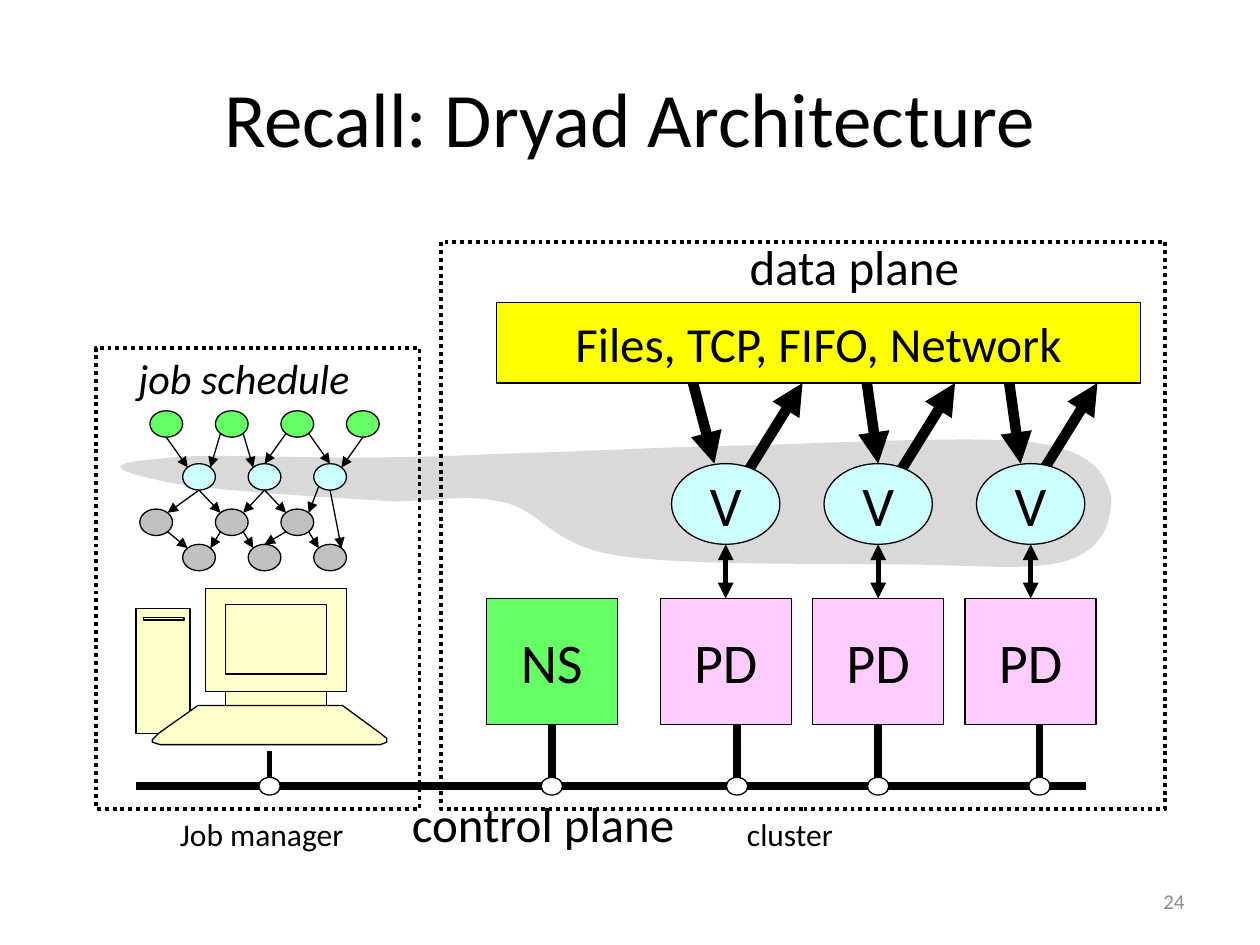
from lxml.etree import SubElement
from pptx import Presentation
from pptx.dml.color import RGBColor
from pptx.enum.dml import MSO_LINE
from pptx.enum.shapes import MSO_CONNECTOR, MSO_SHAPE
from pptx.enum.text import MSO_ANCHOR, PP_ALIGN
from pptx.oxml.ns import qn
from pptx.util import Inches, Pt

FONT = "Calibri"
BLACK, WHITE, GREY, MIST = "000000", "FFFFFF", "C0C0C0", "D9D9D9"
GREEN, CYAN, PINK, YELLOW, CREAM = "66FF66", "CCFFFF", "FFCCFF", "FFFF00", "FFFFCC"

VERTEX_X, VERTEX_STEP, VERTEX_W, VERTEX_H = 5.76, 1.21, 0.86, 0.64
VERTEX_TOP, STORE_BOTTOM = 3.68, 3.04
BOX_W, BOX_H, BOX_TOP = 1.04, 1, 4.75
BUS_Y = 6.24

# Job schedule: top, fill and node centres of each level
NODE_W, NODE_H = 0.26, 0.21
LEVELS = [
    (3.26, GREEN, [1.32, 1.84, 2.36, 2.88]),
    (3.68, CYAN, [1.58, 2.1, 2.62]),
    (4.04, GREY, [1.24, 1.84, 2.36]),
    (4.32, GREY, [1.58, 2.1, 2.62]),
]
# Each end is (level, node, side); side is -1 left, 0 middle, 1 right
EDGES = [
    ((0, 0, 0), (1, 0, -1)), ((0, 1, -1), (1, 0, 1)), ((0, 1, 1), (1, 1, -1)),
    ((0, 2, -1), (1, 1, 0)), ((0, 2, 1), (1, 2, 0)), ((0, 3, 0), (1, 2, 1)),
    ((1, 0, 0), (2, 0, 1)), ((1, 0, 0), (2, 1, -1)), ((1, 1, 0), (2, 1, 1)),
    ((1, 1, 0), (2, 2, -1)), ((1, 2, -1), (2, 2, 1)), ((1, 2, 0), (3, 2, 1)),
    ((2, 0, 1), (3, 0, -1)), ((2, 1, -1), (3, 0, 1)), ((2, 1, 1), (3, 1, -1)),
    ((2, 2, -1), (3, 1, 0)), ((2, 2, 1), (3, 2, -1)),
]

BAND_START = (1.25, 3.81)
BAND_CURVES = [
    ((0.66, 3.68), (1.09, 3.66), (1.37, 3.63)),
    ((1.65, 3.6), (2.49, 3.64), (2.93, 3.63)),
    ((3.37, 3.63), (3.55, 3.62), (4.01, 3.6)),
    ((4.47, 3.59), (5, 3.56), (5.7, 3.54)),
    ((6.4, 3.53), (7.67, 3.45), (8.19, 3.51)),
    ((8.71, 3.58), (8.78, 3.79), (8.82, 3.95)),
    ((8.82, 4.15), (8.75, 4.36), (8.47, 4.45)),
    ((8.18, 4.54), (7.71, 4.48), (7.11, 4.48)),
    ((6.52, 4.47), (5.42, 4.49), (4.9, 4.41)),
    ((4.38, 4.33), (4.3, 4.06), (4.01, 3.99)),
    ((3.71, 3.92), (3.56, 3.97), (3.12, 3.98)),
    ((2.66, 3.95), (1.54, 3.89), (1.25, 3.81)),
]
KEYBOARD = [(1.57, 5.6), (2.72, 5.6), (3.02, 5.82), (3.07, 5.86), (3.07, 5.89),
            (3.02, 5.91), (1.27, 5.91), (1.21, 5.89), (1.21, 5.87), (1.26, 5.82)]


def rgb(hex_color):
    return RGBColor.from_string(hex_color)


def write(shape, text, size, color=BLACK, align=PP_ALIGN.LEFT,
          anchor=MSO_ANCHOR.TOP, wrap=True, italic=None):
    frame = shape.text_frame
    frame.word_wrap, frame.vertical_anchor = wrap, anchor
    paragraph = frame.paragraphs[0]
    paragraph.alignment = align
    run = paragraph.add_run()
    run.text = text
    for name, value in {"name": FONT, "size": Pt(size), "italic": italic}.items():
        setattr(run.font, name, value)
    run.font.color.rgb = rgb(color)


def label(slide, at, text, size, **style):
    write(slide.shapes.add_textbox(*map(Inches, at)), text, size, **style)


def paint(shape, fill=None, line=BLACK, width=0.75):
    shape.shadow.inherit = False
    if fill:
        shape.fill.solid()
        shape.fill.fore_color.rgb = rgb(fill)
    else:
        shape.fill.background()
    if line:
        shape.line.color.rgb = rgb(line)
        shape.line.width = Pt(width)
    else:
        shape.line.fill.background()


def block(slide, at, fill=None, kind=MSO_SHAPE.RECTANGLE, text="", size=32, width=0.75):
    shape = slide.shapes.add_shape(kind, *map(Inches, at))
    paint(shape, fill, width=width)
    if text:
        write(shape, text, size, align=PP_ALIGN.CENTER,
              anchor=MSO_ANCHOR.MIDDLE, wrap=False)
    return shape


def oval(slide, x, top, width, height, fill, text=""):
    """Ellipse placed by its horizontal centre and its top."""
    block(slide, (x - width / 2, top, width, height), fill, MSO_SHAPE.OVAL, text)


def outline(slide, points, fill, line=BLACK):
    builder = slide.shapes.build_freeform(
        *(Inches(value) for value in points[0]), scale=1.0)
    builder.add_line_segments([(Inches(x), Inches(y)) for x, y in points[1:]], close=True)
    paint(builder.convert_to_shape(), fill, line)


def line(slide, start, end, width, heads=()):
    """Straight line; heads lists the ends with arrowheads, in headEnd, tailEnd order."""
    connector = slide.shapes.add_connector(
        MSO_CONNECTOR.STRAIGHT, *map(Inches, (*start, *end)))
    connector.line.color.rgb = rgb(BLACK)
    connector.line.width = Pt(width)
    properties = connector._element.spPr
    for head in heads:
        SubElement(properties.find(qn("a:ln")), qn(f"a:{head}"), type="triangle")
    SubElement(properties, qn("a:effectLst"))
    return connector


def dotted_frame(slide, at):
    block(slide, at, width=2.25).line.dash_style = MSO_LINE.ROUND_DOT


def band(slide, steps=12):
    """Grey band that ties the schedule to the running vertices."""
    points = [BAND_START]
    for curve in BAND_CURVES:
        corners = (points[-1], *curve)
        for step in range(1, steps + 1):
            t = step / steps
            weights = ((1 - t) ** 3, 3 * t * (1 - t) ** 2, 3 * t * t * (1 - t), t ** 3)
            points.append(tuple(sum(w * corner[axis] for w, corner in zip(weights, corners))
                                for axis in (0, 1)))
    outline(slide, points, MIST, line=None)


def port(level, node, side, lower):
    """Point on the lower or upper half of a node's rim."""
    top, _, centres = LEVELS[level]
    inset = 0.03 if side else 0
    return centres[node] + side * 0.09, top + (NODE_H - inset if lower else inset)


def job_schedule(slide):
    for top, fill, centres in LEVELS:
        for x in centres:
            oval(slide, x, top, NODE_W, NODE_H, fill)
    for source, target in EDGES:
        line(slide, port(*source, True), port(*target, False), 0.75, ["tailEnd"])
    label(slide, (1, 2.75, 2.08, 0.5), "job schedule", 24, italic=True)


def computer(slide):
    tower, slot = (1.08, 4.83, 0.43, 0.99), (1.14, 4.9, 0.32, 0.02)
    monitor, screen = (1.63, 4.67, 1.12, 0.82), (1.79, 4.8, 0.8, 0.55)
    neck = (1.79, 5.49, 0.8, 0.11)
    for part in (tower, slot, monitor, screen, neck):
        block(slide, part, CREAM)
    outline(slide, KEYBOARD, CREAM)


def data_plane(slide):
    block(slide, (3.94, 2.4, 5.11, 0.64), YELLOW, text="Files, TCP, FIFO, Network", size=28)
    label(slide, (5.85, 1.83, 2.72, 0.57), "data plane", 28)
    for read_from, read_to, write_from in ((5.5, 5.67, 5.93), (6.88, 6.97, 7.14),
                                           (8.01, 8.1, 8.27)):
        line(slide, (read_from, STORE_BOTTOM), (read_to, VERTEX_TOP), 6, ["tailEnd"])
        line(slide, (write_from, 3.75), (write_from + 0.44, STORE_BOTTOM), 6, ["tailEnd"])


def workers(slide):
    for column in range(3):
        x = VERTEX_X + column * VERTEX_STEP
        oval(slide, x, VERTEX_TOP, VERTEX_W, VERTEX_H, CYAN, "V")
        daemon = block(slide, (x - BOX_W / 2, BOX_TOP, BOX_W, BOX_H), PINK, text="PD")
        line(slide, (x, VERTEX_TOP + VERTEX_H), (x, BOX_TOP), 3,
             ["headEnd", "tailEnd"]).end_connect(daemon, 0)


def control_plane(slide):
    name_server = block(slide, (3.86, BOX_TOP, BOX_W, BOX_H), GREEN, text="NS")
    line(slide, (1.08, BUS_Y), (8.62, BUS_Y), 4.5)
    box_bottom = BOX_TOP + BOX_H
    line(slide, (2.14, 5.96), (2.14, BUS_Y), 3)
    line(slide, (4.38, box_bottom), (4.38, BUS_Y), 4.5).begin_connect(name_server, 2)
    for x in (5.85, 6.97, 8.25):
        line(slide, (x, box_bottom), (x, BUS_Y), 4.5)
    for x in (2.14, 4.38, 5.85, 6.97, 8.25):
        oval(slide, x, BUS_Y - 0.07, 0.17, 0.14, WHITE)
    label(slide, (3.17, 6.25, 3.24, 0.57), "control plane", 28)


def main():
    deck = Presentation()
    deck.slide_width, deck.slide_height = Inches(10), Inches(7.5)
    slide = deck.slides.add_slide(deck.slide_layouts[5])
    title = slide.shapes.title
    for name, value in zip(("left", "top", "width", "height"), (0.5, 0.3, 9, 1.25)):
        setattr(title, name, Inches(value))
    write(title, "Recall: Dryad Architecture", 44, align=PP_ALIGN.CENTER,
          anchor=MSO_ANCHOR.MIDDLE)
    band(slide)
    dotted_frame(slide, (0.76, 2.76, 2.57, 3.66))
    dotted_frame(slide, (3.5, 1.92, 5.75, 4.5))
    job_schedule(slide)
    computer(slide)
    data_plane(slide)
    workers(slide)
    control_plane(slide)
    label(slide, (1.33, 6.42, 1.51, 0.4), "Job manager", 18, wrap=False)
    label(slide, (5.83, 6.42, 0.89, 0.4), "cluster", 18, wrap=False)
    label(slide, (7.17, 6.95, 2.33, 0.4), "24", 12, color="8C8C8C",
          align=PP_ALIGN.RIGHT, anchor=MSO_ANCHOR.MIDDLE)
    deck.save("out.pptx")


if __name__ == "__main__":
    main()
